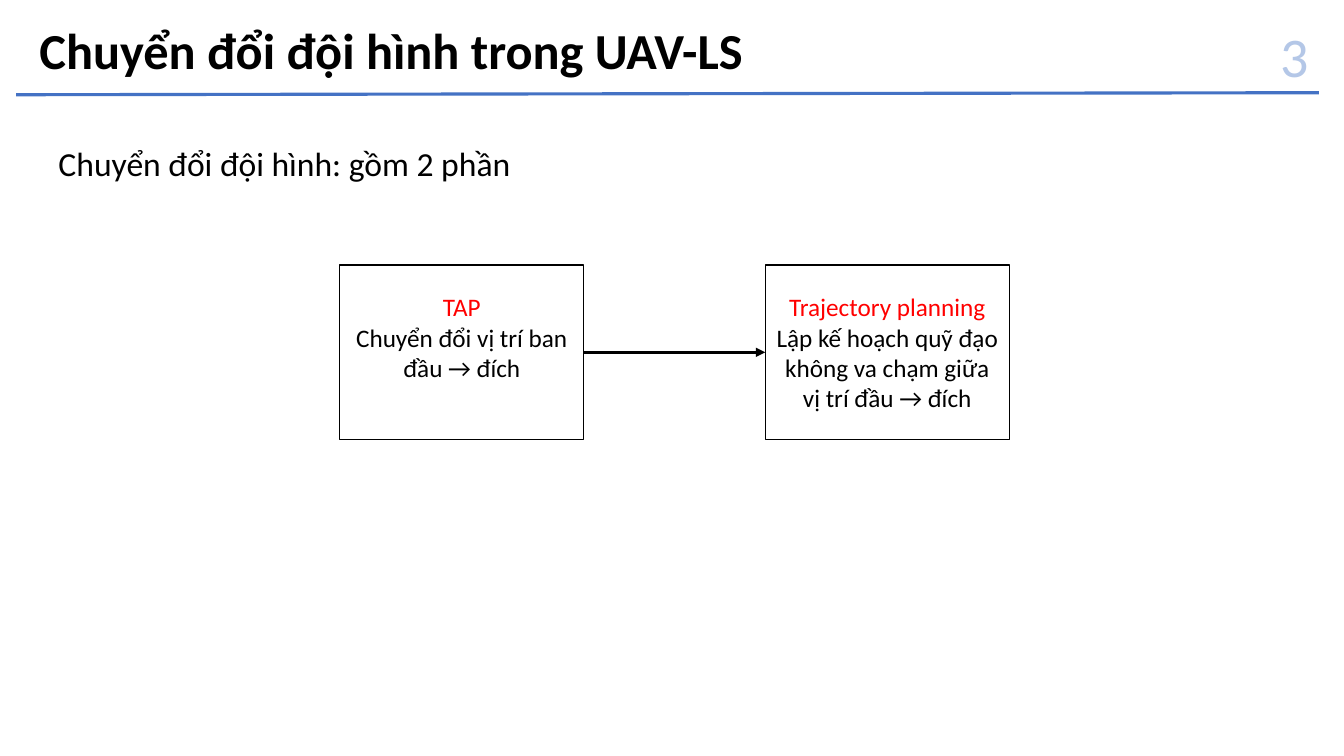
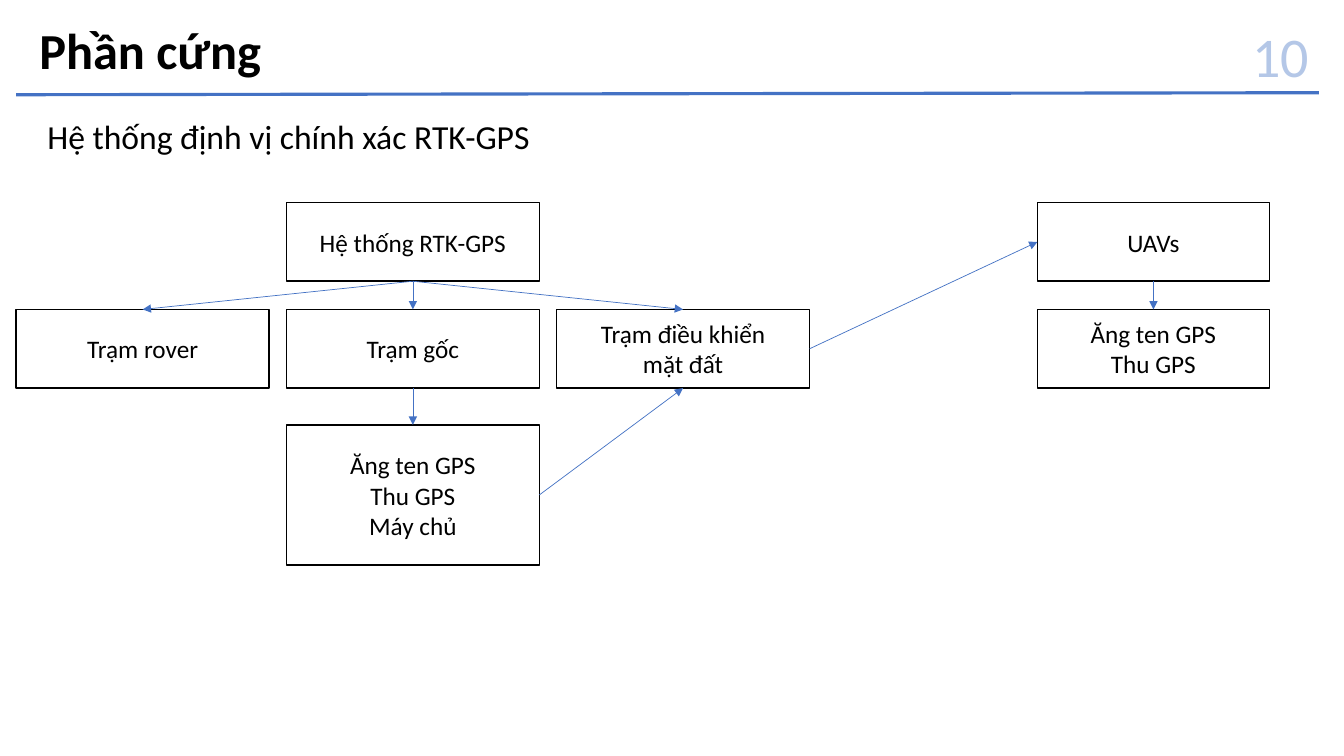
from dataclasses import dataclass

from pptx import Presentation
from pptx import util as u
from pptx.dml.color import RGBColor
from pptx.enum import shapes, text
from pptx.oxml.ns import qn
from lxml import etree

FONT = "Calibri"
BLACK, WHITE, RED = "000000", "FFFFFF", "FF0000"
BLUE, PALE_BLUE = "4472C4", "B4C7E7"
LEFT, CENTER = text.PP_ALIGN.LEFT, text.PP_ALIGN.CENTER
RIGHT, JUSTIFY = text.PP_ALIGN.RIGHT, text.PP_ALIGN.JUSTIFY
TOP_SIDE, LEFT_SIDE, BOTTOM_SIDE, RIGHT_SIDE = range(4)


def colour(value):
    return RGBColor.from_string(value)


@dataclass
class Grid:
    """Boxes of one size, in inches, set out at equal steps."""
    left: float
    top: float
    width: float
    height: float
    column_step: float = 0
    row_step: float = 0

    def cell(self, column, row, height=None):
        return (self.left + column * self.column_step,
                self.top + row * self.row_step,
                self.width, height or self.height)


class Slides:
    def __init__(self):
        self.deck = Presentation()
        self.deck.slide_width = u.Inches(13.33)
        self.deck.slide_height = u.Inches(7.5)
        self.page = None

    def new_page(self, title, number, lead, lead_at):
        """Start a slide with its title, rule, page number and lead sentence."""
        self.page = self.deck.slides.add_slide(self.deck.slide_layouts[1])
        self.line((0.16, 0.94), (13.08, 0.92), BLUE, 2.25)
        heading, body = self.page.placeholders
        self.place(heading, (0.29, 0.14, 9.19, 0.71))
        self.fill_text(heading, [title], 36, LEFT, bold=True)
        number_box = self.page.shapes.add_textbox(0, 0, 0, 0)
        self.place(number_box, (11.4, 0.16, 1.68, 0.77))
        self.fill_text(number_box, [(number, PALE_BLUE)], 40, RIGHT)
        self.place(body, (*lead_at, 12.22, 0.5))
        self.fill_text(body, [lead], 24, JUSTIFY)

    def place(self, shape, at):
        shape.left, shape.top, shape.width, shape.height = map(u.Inches, at)

    def fill_text(self, shape, lines, size, align, bold=False, middle=False):
        """Set the paragraphs, each given as text or as (text, colour)."""
        frame = shape.text_frame
        frame.word_wrap = True
        frame.auto_size = text.MSO_AUTO_SIZE.NONE
        anchors = text.MSO_ANCHOR
        frame.vertical_anchor = anchors.MIDDLE if middle else anchors.TOP
        for index, line in enumerate(lines):
            words, ink = (line, BLACK) if isinstance(line, str) else line
            para = frame.add_paragraph() if index else frame.paragraphs[0]
            para.alignment = align
            para.space_before = u.Pt(0)
            properties = para._p.get_or_add_pPr()
            properties.set("marL", "0")
            properties.set("indent", "0")
            etree.SubElement(properties, qn("a:buNone"))
            for part, piece in enumerate(words.split("\n")):
                if part:
                    para.add_line_break()
                span = para.add_run()
                span.text = piece
                span.font.name = FONT
                span.font.size = u.Pt(size)
                span.font.bold = bold
                span.font.color.rgb = colour(ink)

    def box(self, at, *lines, lift=0):
        """Add an outlined box; lift is extra inset below the text."""
        box = self.page.shapes.add_shape(
            shapes.MSO_SHAPE.RECTANGLE, *map(u.Inches, at))
        box.shadow.inherit = False
        box.fill.solid()
        box.fill.fore_color.rgb = colour(WHITE)
        box.line.color.rgb = colour(BLACK)
        box.line.width = u.Pt(1)
        self.fill_text(box, lines, 18, CENTER, middle=True)
        box.text_frame.margin_bottom = u.Inches(0.05 + lift)
        return box

    def line(self, start, end, ink, width):
        line = self.page.shapes.add_connector(
            shapes.MSO_CONNECTOR.STRAIGHT, *map(u.Inches, (*start, *end)))
        line.line.color.rgb = colour(ink)
        line.line.width = u.Pt(width)
        etree.SubElement(line._element.spPr, qn("a:effectLst"))
        return line

    def arrow(self, source, source_side, target, target_side,
              ink=BLUE, width=0.5):
        arrow = self.line((0, 0), (0, 0), ink, width)
        arrow.begin_connect(source, source_side)
        arrow.end_connect(target, target_side)
        etree.SubElement(arrow.line._get_or_add_ln(), qn("a:tailEnd"),
                         type="triangle")


def formation_page(slides):
    slides.new_page("Chuyển đổi đội hình trong UAV-LS", "3",
                    "Chuyển đổi đội hình: gồm 2 phần", (0.48, 1.37))
    grid = Grid(3.37, 2.63, 2.42, 1.73, column_step=4.22)
    assignment = slides.box(grid.cell(0, 0), ("TAP", RED),
                            "Chuyển đổi vị trí ban đầu → đích", lift=0.3)
    planning = slides.box(
        grid.cell(1, 0), ("Trajectory planning", RED),
        "Lập kế hoạch quỹ đạo không va chạm giữa vị trí đầu → đích")
    slides.arrow(assignment, RIGHT_SIDE, planning, LEFT_SIDE, BLACK, 2.25)


def hardware_page(slides):
    slides.new_page("Phần cứng", "10",
                    "Hệ thống định vị chính xác RTK-GPS", (0.37, 1.1))
    stations = Grid(0.16, 2.01, 2.51, 0.78, column_step=2.68, row_step=1.06)
    aircraft = Grid(10.29, 2.01, 2.3, 0.78, row_step=1.06)
    antenna = ("Ăng ten GPS", "Thu GPS")

    system = slides.box(stations.cell(1, 0), "Hệ thống RTK-GPS")
    rover, base, ground = [
        slides.box(stations.cell(column, 1), name)
        for column, name in enumerate(
            ("Trạm rover", "Trạm gốc", "Trạm điều khiển\nmặt đất"))]
    base_parts = slides.box(stations.cell(1, 2.08, height=1.39),
                            *antenna, "Máy chủ")
    uavs = slides.box(aircraft.cell(0, 0), "UAVs")
    uav_parts = slides.box(aircraft.cell(0, 1), *antenna)

    for parent, child in ((system, rover), (system, base), (system, ground),
                          (base, base_parts), (uavs, uav_parts)):
        slides.arrow(parent, BOTTOM_SIDE, child, TOP_SIDE)
    slides.arrow(base_parts, RIGHT_SIDE, ground, BOTTOM_SIDE)
    slides.arrow(ground, RIGHT_SIDE, uavs, LEFT_SIDE)


def main():
    slides = Slides()
    formation_page(slides)
    hardware_page(slides)
    slides.deck.save("out.pptx")


if __name__ == "__main__":
    main()
